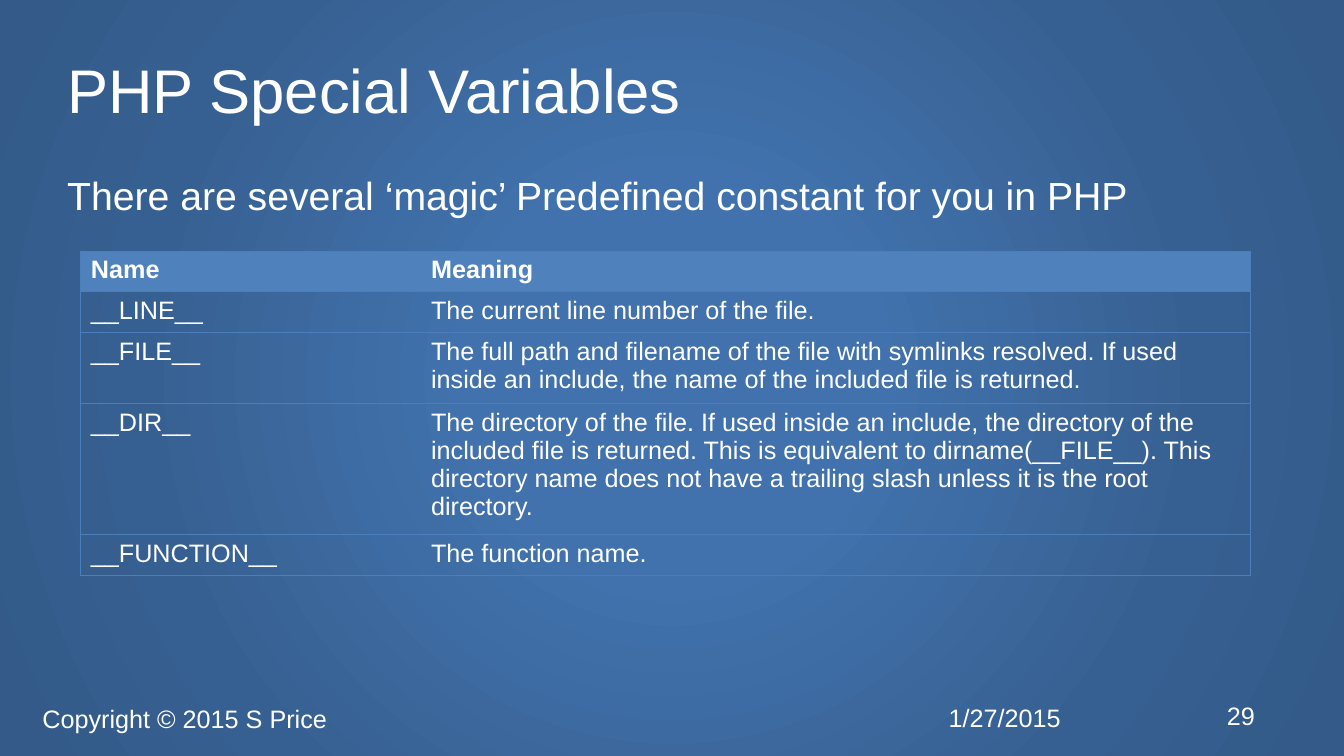
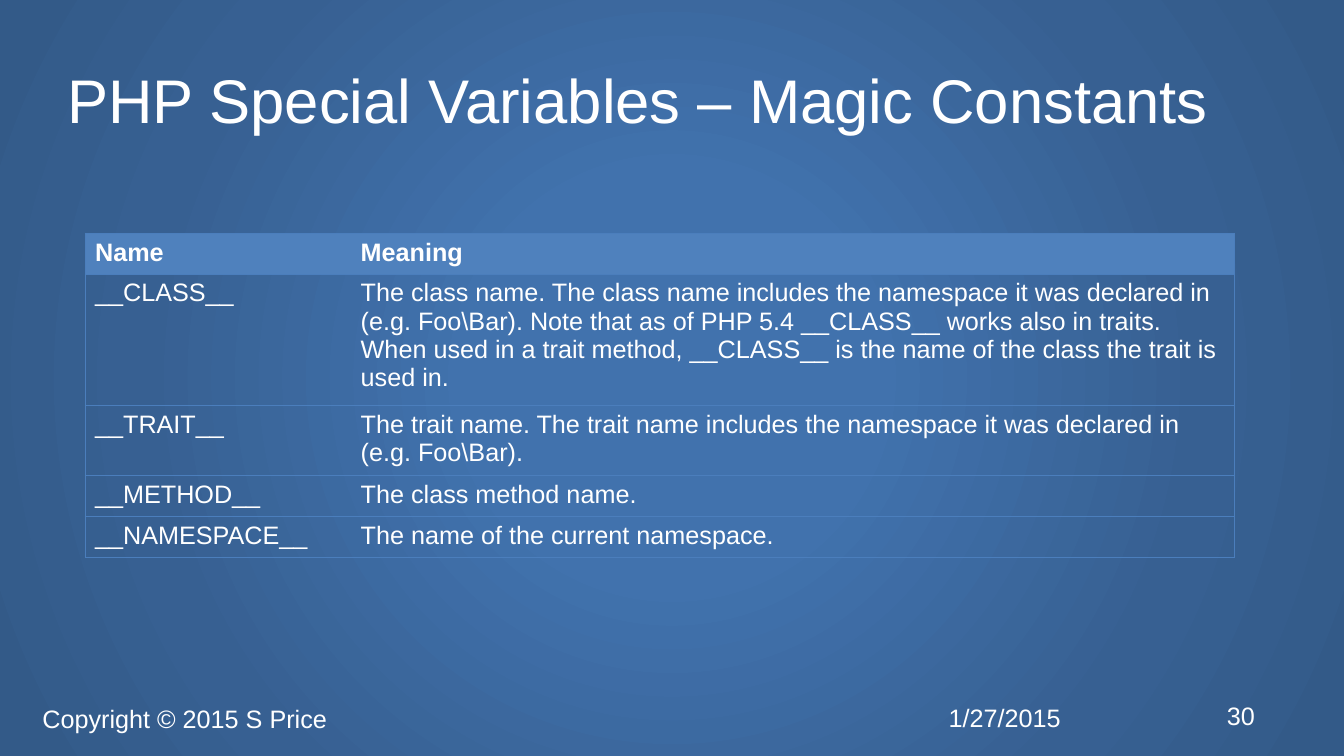
from pptx import Presentation
from pptx.dml.color import RGBColor
from pptx.enum.text import MSO_ANCHOR
from pptx.oxml import parse_xml
from pptx.oxml.ns import nsdecls, qn
from pptx.util import Emu, Pt

PX = 9525
FONT = "Arial"
WHITE = "FFFFFF"
HEADER_FILL = "4F81BD"
RULE = "4B7EBC"
BACKDROP = [(0, "4172AD"), (26, "4172AD"), (69, "376092"), (97, "335A88")]
ROW_HEIGHT = 39

TITLE = {"size": 44, "line_spacing": 0.9, "anchor": MSO_ANCHOR.MIDDLE, "inset": 0}
SUBTITLE = {"size": 28, "line_spacing": 0.9, "space_before": Pt(10), "inset": 0}
FOOTER = {"size": 18, "anchor": MSO_ANCHOR.MIDDLE}

COPYRIGHT = "Copyright © 2015 S Price"
DATE = "1/27/2015"
HEADINGS = ("Name", "Meaning")

SLIDES = [
    {
        "number": 29,
        "title": "PHP Special Variables",
        "title_top": 29,
        "subtitle": "There are several ‘magic’ Predefined constant for you in PHP",
        "table_at": (77, 239),
        "columns": (324, 790),
        "constants": [
            ("__LINE__", "The current line number of the file."),
            ("__FILE__", "The full path and filename of the file with symlinks resolved. "
             "If used inside an include, the name of the included file is returned."),
            ("__DIR__", "The directory of the file. If used inside an include, the directory "
             "of the included file is returned. This is equivalent to dirname(__FILE__). "
             "This directory name does not have a trailing slash unless it is the root directory."),
            ("__FUNCTION__", "The function name."),
        ],
    },
    {
        "number": 30,
        "title": "PHP Special Variables – Magic Constants",
        "title_top": 39,
        "subtitle": None,
        "table_at": (81, 222),
        "columns": (253, 842),
        "constants": [
            ("__CLASS__", "The class name. The class name includes the namespace it was declared "
             "in (e.g. Foo\\Bar). Note that as of PHP 5.4 __CLASS__ works also in traits. "
             "When used in a trait method, __CLASS__ is the name of the class the trait is used in."),
            ("__TRAIT__", "The trait name. The trait name includes the namespace it was declared "
             "in (e.g. Foo\\Bar)."),
            ("__METHOD__", "The class method name."),
            ("__NAMESPACE__", "The name of the current namespace."),
        ],
    },
]


def px(length):
    """Turn pixels into EMU."""
    return Emu(length * PX)


def color(value):
    """Turn a hex string into a colour."""
    return RGBColor.from_string(value)


def write(paragraph, text, size, bold=False):
    """Write one white run into a paragraph."""
    run = paragraph.add_run()
    run.text = text
    for name, value in {"name": FONT, "size": Pt(size), "bold": bold}.items():
        setattr(run.font, name, value)
    run.font.color.rgb = color(WHITE)


def add_text(slide, box, text, size, anchor=MSO_ANCHOR.TOP, inset=None, **spacing):
    """Place a wrapped line of text in a box."""
    frame = slide.shapes.add_textbox(*map(px, box)).text_frame
    settings = {"word_wrap": True, "vertical_anchor": anchor}
    if inset is not None:
        for side in ("left", "top", "right", "bottom"):
            settings[f"margin_{side}"] = px(inset)
    for name, value in settings.items():
        setattr(frame, name, value)
    paragraph = frame.paragraphs[0]
    for name, value in spacing.items():
        setattr(paragraph, name, value)
    write(paragraph, text, size)


def paint_backdrop(master):
    """Give the master a radial gradient background."""
    stops = "".join(
        f'<a:gs pos="{position * 1000}"><a:srgbClr val="{value}"/></a:gs>'
        for position, value in BACKDROP
    )
    gradient = parse_xml(
        f'<a:gradFill {nsdecls("a")} rotWithShape="1"><a:gsLst>{stops}</a:gsLst>'
        '<a:path path="circle"><a:fillToRect l="50000" t="50000" r="50000" b="50000"/>'
        "</a:path></a:gradFill>"
    )
    master.background.fill.solid()
    properties = master.element.find(".//" + qn("p:bgPr"))
    properties.replace(properties[0], gradient)


def rule_cell(cell, sides):
    """Draw rules on the given sides of a cell and clear the others."""
    properties = cell._tc.get_or_add_tcPr()
    for index, side in enumerate("LRTB"):
        paint = f'<a:solidFill><a:srgbClr val="{RULE}"/></a:solidFill>'
        if side not in sides:
            paint = "<a:noFill/>"
        properties.insert(index, parse_xml(
            f'<a:ln{side} {nsdecls("a")} w="{Pt(0.75)}">{paint}</a:ln{side}>'
        ))


def add_constants(slide, at, columns, constants):
    """Place the table of constants with its heading row."""
    rows = [HEADINGS, *constants]
    size = (sum(columns), ROW_HEIGHT * len(rows))
    table = slide.shapes.add_table(len(rows), len(columns), *map(px, at + size)).table
    table.horz_banding = False
    for column, width in zip(table.columns, columns):
        column.width = px(width)
    for r, texts in enumerate(rows):
        table.rows[r].height = px(ROW_HEIGHT)
        for c, text in enumerate(texts):
            cell = table.cell(r, c)
            if r == 0:
                cell.fill.solid()
                cell.fill.fore_color.rgb = color(HEADER_FILL)
            else:
                cell.fill.background()
            write(cell.text_frame.paragraphs[0], text, 18, bold=r == 0)
            rule_cell(cell, "TB" + ("L" if c == 0 else "R"))


def add_footer(slide, number):
    """Place the date, copyright and slide number."""
    add_text(slide, (894, 664, 168, 39), DATE, **FOOTER)
    add_text(slide, (31, 665, 863, 39), COPYRIGHT, **FOOTER)
    add_text(slide, (1159, 662, 58, 39), str(number), **FOOTER)


def add_constants_slide(deck, content):
    """Build one slide with a title, a table and a footer."""
    slide = deck.slides.add_slide(deck.slide_layouts[6])
    add_text(slide, (64, content["title_top"], 1152, 120), content["title"], **TITLE)
    if content["subtitle"]:
        add_text(slide, (64, 168, 1152, 71), content["subtitle"], **SUBTITLE)
    add_footer(slide, content["number"])
    add_constants(slide, content["table_at"], content["columns"], content["constants"])


def main():
    """Build and save the deck."""
    deck = Presentation()
    deck.slide_width, deck.slide_height = px(1280), px(720)
    paint_backdrop(deck.slide_master)
    for content in SLIDES:
        add_constants_slide(deck, content)
    deck.save("out.pptx")


if __name__ == "__main__":
    main()
